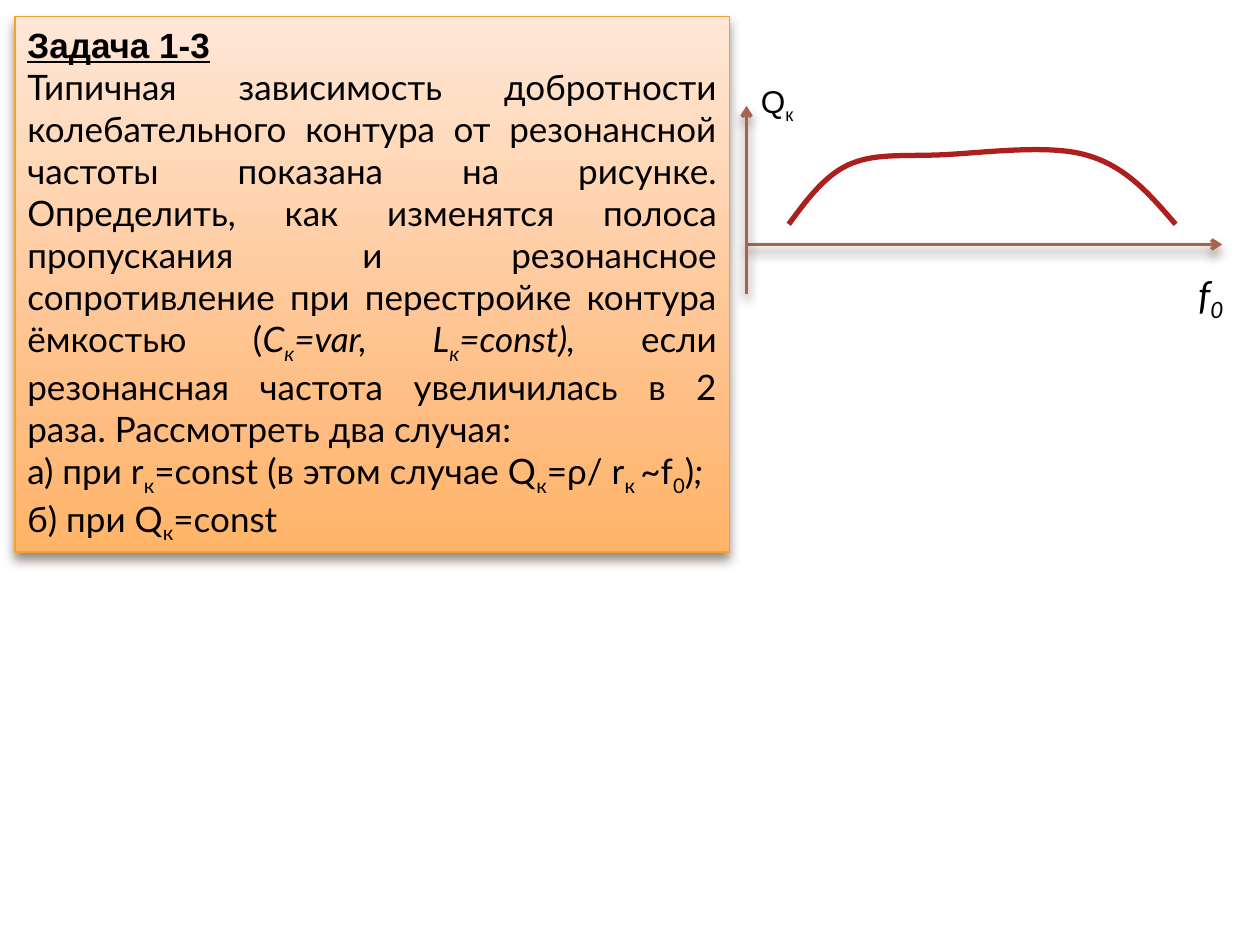
import copy
import pptx
import pptx.util
import pptx.dml.color
import pptx.enum.shapes
import pptx.enum.text
import pptx.oxml
import pptx.oxml.ns

Pt = pptx.util.Pt
qn = pptx.oxml.ns.qn
ALIGN = pptx.enum.text.PP_ALIGN
ANCHOR = pptx.enum.text.MSO_ANCHOR
NS = 'xmlns:a="http://schemas.openxmlformats.org/drawingml/2006/main"'

TITLE = dict(name="Arial", size=Pt(20), bold=True, underline=True)
BODY = dict(name="Lato", size=Pt(20))
ITALIC = dict(BODY, italic=True)
FREQUENCY = dict(name="Lato", size=Pt(22), italic=True)
QUALITY = dict(name="Arial", size=Pt(18))

TASK = [
    [("Задача 1-3", TITLE)],
    [("Типичная зависимость добротности колебательного контура от резонансной "
      "частоты показана на рисунке. Определить, как изменятся полоса пропускания "
      "и резонансное сопротивление при перестройке контура ёмкостью (", BODY),
     ("C_к_=var, L_к_=const), ", ITALIC),
     ("если резонансная частота увеличилась в 2 раза. Рассмотреть два случая: ", BODY)],
    [("а) при r_к_=const (в этом случае Q_к_=ρ/ r_к _~f_0_)", BODY), ("; ", ITALIC)],
    [("б) при Q_к_=const", BODY)],
]
TASK_BOX = (8.6, 9.4, 408.2, 306)
TASK_STOPS = [(0, "FFE7D7"), (0.72, "FFBE84"), (1, "FFB468")]
LABELS = [
    ((677.5, 151.2, 30.2, 33.8), [[("f_0_", FREQUENCY)]]),
    ((427.7, 43.2, 33.8, 28.8), [[("Q_к_", QUALITY)]]),
]
AXES = [(427, 139.7, 698.4, 139.7), (426.6, 167.8, 426.6, 60.5)]
CURVE = [(450.7, 128.2), (460.8, 114.5), (470.9, 100.8), (484.6, 94.3),
         (499, 87.8), (513.4, 89.3), (535.7, 88.6),
         (558.7, 87.8), (598.3, 82.1), (620.6, 88.6),
         (643.7, 95), (657.4, 111.6), (671.8, 128.2)]


def rgb(value):
    return pptx.dml.color.RGBColor.from_string(value)


def pts(values):
    return [Pt(v) for v in values]


def set_line(shape, color, width):
    shape.line.color.rgb = rgb(color)
    shape.line.width = Pt(width)


def add_shadow(shape):
    props = shape._element.spPr
    for old in props.findall(qn("a:effectLst")):
        props.remove(old)
    props.append(pptx.oxml.parse_xml(
        f'<a:effectLst {NS}><a:outerShdw blurRad="{Pt(6)}" dist="{Pt(4)}" '
        'dir="5400000" rotWithShape="0"><a:srgbClr val="4E3B30">'
        '<a:alpha val="60000"/></a:srgbClr></a:outerShdw></a:effectLst>'))


def write(tf, paragraphs, align):
    for i, runs in enumerate(paragraphs):
        p = tf.paragraphs[0] if i == 0 else tf.add_paragraph()
        p.alignment = align
        for text, style in runs:
            for n, part in enumerate(text.split("_")):
                if not part:
                    continue
                r = p.add_run()
                r.text = part
                r.font.color.rgb = rgb("000000")
                for key, value in style.items():
                    setattr(r.font, key, value)
                if n % 2:
                    r._r.get_or_add_rPr().set("baseline", "-25000")


prs = pptx.Presentation()
prs.slide_width, prs.slide_height = Pt(720), Pt(540)
s = prs.slides.add_slide(prs.slide_layouts[6])

task = s.shapes.add_shape(pptx.enum.shapes.MSO_SHAPE.RECTANGLE, *pts(TASK_BOX))
task.fill.gradient()
task.fill.gradient_angle = 270
stops = task._element.spPr.find(qn("a:gradFill")).find(qn("a:gsLst"))
stops.append(copy.deepcopy(stops[0]))
for stop, (position, color) in zip(task.fill.gradient_stops, TASK_STOPS):
    stop.position = position
    stop.color.rgb = rgb(color)
set_line(task, "F0A22E", 0.79)
add_shadow(task)
task.text_frame.word_wrap = True
task.text_frame.vertical_anchor = ANCHOR.MIDDLE
write(task.text_frame, TASK, ALIGN.JUSTIFY)

for ends in AXES:
    axis = s.shapes.add_connector(pptx.enum.shapes.MSO_CONNECTOR.STRAIGHT, *pts(ends))
    set_line(axis, "A5644E", 2)
    axis.line._get_or_add_ln().append(
        pptx.oxml.parse_xml(f'<a:tailEnd {NS} type="arrow"/>'))
    add_shadow(axis)

for box, paragraphs in LABELS:
    label = s.shapes.add_textbox(*pts(box))
    label.text_frame.word_wrap = False
    label.text_frame.auto_size = pptx.enum.text.MSO_AUTO_SIZE.SHAPE_TO_FIT_TEXT
    write(label.text_frame, paragraphs, ALIGN.LEFT)

points = [tuple(pts(point)) for point in CURVE]
builder = s.shapes.build_freeform(*points[0])
builder.add_line_segments(points[1:], close=False)
curve = builder.convert_to_shape()
curve.fill.background()
set_line(curve, "AD1F1F", 3)
curve.shadow.inherit = False
outline = next(curve._element.iter(qn("a:path")))
segments = outline.findall(qn("a:lnTo"))
for i in range(0, len(segments), 3):
    bezier = pptx.oxml.parse_xml(f"<a:cubicBezTo {NS}/>")
    for segment in segments[i:i + 3]:
        bezier.append(segment[0])
        outline.remove(segment)
    outline.append(bezier)

prs.save("out.pptx")
